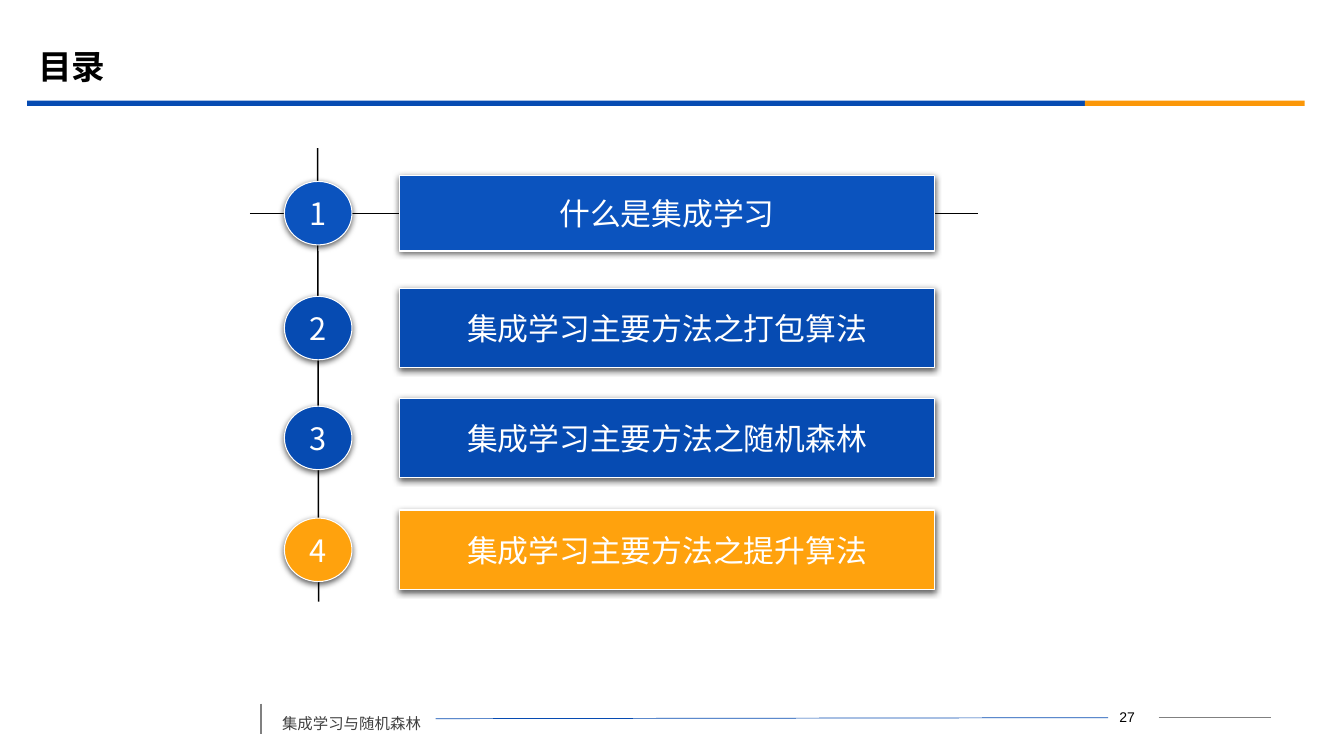
from lxml import etree
from pptx import Presentation
from pptx import util as u
from pptx.dml.color import RGBColor
from pptx.enum import shapes, text
from pptx.oxml import ns

HUES = {"blue": "064BB2", "bright": "0B53BE", "gold": "FFA20D", "amber": "FB9708",
        "white": "FFFFFF", "black": "000000", "gray": "808080", "dark": "404040"}
SANS = "Noto Sans CJK SC"

deck = Presentation()
deck.slide_width, deck.slide_height = u.Inches(13.33), u.Inches(7.5)
slide = deck.slides.add_slide(deck.slide_layouts[6])
col, row = deck.slide_width / 100, deck.slide_height / 100


def place(x, y, wide, high):
    return [round(n) for n in (x * col, y * row, wide * col, high * row)]


def write(shape, words, size, hue, font=SANS, bold=False, align="LEFT", wrap=True):
    frame = shape.text_frame
    frame.word_wrap = wrap
    frame.vertical_anchor = text.MSO_ANCHOR.MIDDLE
    line = frame.paragraphs[0]
    line.alignment = getattr(text.PP_ALIGN, align)
    run = line.add_run()
    run.text = words
    run.font.size, run.font.bold = u.Pt(size), bold
    run.font.color.rgb = RGBColor.from_string(HUES[hue])
    run.font.name = font
    east = etree.SubElement(run.font._element, ns.qn("a:ea"))
    east.set("typeface", SANS)
    return line


for x, wide, hue in [(2.03, 78.7, "blue"), (80.72, 16.35, "amber")]:
    bar = slide.shapes.add_shape(shapes.MSO_SHAPE.RECTANGLE, *place(x, 13.33, wide, 0.67))
    bar.shadow.inherit = False
    bar.fill.solid()
    bar.fill.fore_color.rgb = RGBColor.from_string(HUES[hue])
    bar.line.fill.background()

rules = [
    (86.2, 94.93, 94.6, 94.93, "gray", 0.75),
    (19.43, 93.07, 19.43, 97.07, "gray", 1.25),
    (32.41, 95.07, 82.45, 94.93, "blue", 0.5),
    (23.63, 19.6, 23.71, 79.6, "black", 1),
    (18.6, 28.27, 72.77, 28.27, "black", 1),
]
for x1, y1, x2, y2, hue, width in rules:
    rule = slide.shapes.add_connector(
        shapes.MSO_CONNECTOR.STRAIGHT, *place(x1, y1, x2, y2))
    rule.line.color.rgb = RGBColor.from_string(HUES[hue])
    rule.line.width = u.Pt(width)
    etree.SubElement(rule._element.spPr, ns.qn("a:effectLst"))

title = slide.shapes.add_textbox(*place(2.1, 5.2, 90, 7.73))
write(title, "目录", 24, "black", "Montserrat", True).line_spacing = 0.9
foot = slide.shapes.add_textbox(*place(20.25, 92.53, 12.15, 5.07))
write(foot, "集成学习与随机森林", 11, "dark", wrap=False).line_spacing = 1.5
page = slide.shapes.add_textbox(*place(81.55, 93.2, 4.65, 3.33))
write(page, "27", 10, "black", "Arial", align="CENTER")

topics = [
    ("什么是集成学习", "bright", 28.2, 10),
    ("集成学习主要方法之打包算法", "blue", 43.4, 10.53),
    ("集成学习主要方法之随机森林", "blue", 57.93, 10.53),
    ("集成学习主要方法之提升算法", "gold", 72.73, 10.53),
]
for rank, (topic, hue, mid, tall) in enumerate(topics, 1):
    parts = [
        (shapes.MSO_SHAPE.OVAL, 21.16, 5.03, 8.4, str(rank)),
        (shapes.MSO_SHAPE.ACTION_BUTTON_CUSTOM, 29.71, 39.83, tall, topic),
    ]
    for kind, x, wide, high, words in parts:
        item = slide.shapes.add_shape(kind, *place(x, mid - high / 2, wide, high))
        item.fill.solid()
        item.fill.fore_color.rgb = RGBColor.from_string(HUES[hue])
        item.line.color.rgb = RGBColor.from_string(HUES["white"])
        item.line.width = u.Pt(0.75)
        item.shadow.inherit = False
        glow = etree.SubElement(
            item._element.spPr.find(ns.qn("a:effectLst")), ns.qn("a:outerShdw"),
            blurRad=str(u.Pt(4.5)), dist=str(u.Pt(1.5)), dir="5400000", rotWithShape="0")
        tint = etree.SubElement(glow, ns.qn("a:srgbClr"), val=HUES["black"])
        etree.SubElement(tint, ns.qn("a:alpha"), val="63000")
        write(item, words, 22, "white", align="CENTER", wrap=False)

deck.save("out.pptx")
